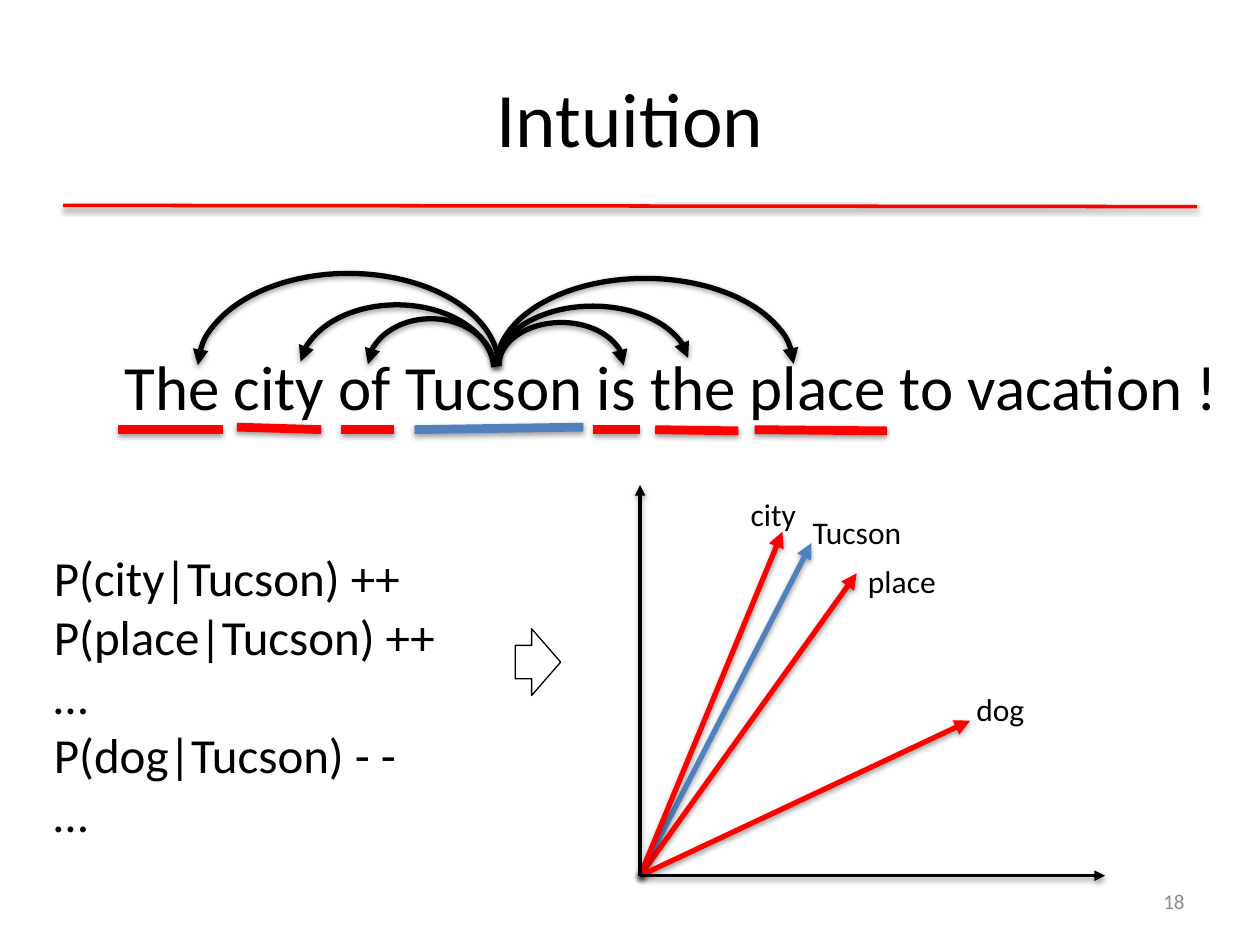
from dataclasses import dataclass

from lxml import etree
from pptx import Presentation, util as u
from pptx.dml.color import RGBColor
from pptx.enum import shapes, text
from pptx.oxml.ns import qn

COLUMNS, ROWS = 10, 7.5
CELL = u.Inches(1)
FONT = "Calibri"
BLACK, WHITE, RED, BLUE, GREY = "000000", "FFFFFF", "FF0000", "4F81BD", "8C8C8C"
ORIGIN = (5.08, 6.95)
UNDERLINE_ROW = 3.41


@dataclass
class Underline:
    start: float
    end: float
    rise: float = 0
    color: str = RED


@dataclass
class ContextArc:
    """An arc from the centre word; angles are in degrees."""
    left: float
    top: float
    width: float
    height: float
    start: float
    end: float
    mirrored: bool = False


@dataclass
class WordVector:
    word: str
    tip: tuple[float, float]
    label: tuple[float, float, float]
    color: str = RED


UNDERLINES = [
    Underline(0.94, 1.77), Underline(1.88, 2.55, -0.02), Underline(2.71, 3.13),
    Underline(3.29, 4.63, 0.02, BLUE), Underline(4.71, 5.08),
    Underline(5.2, 5.86, -0.01), Underline(5.99, 7.04, -0.01),
]
ARCS = [
    ContextArc(2.92, 2.53, 1, 0.77, 182.7, 0),
    ContextArc(1.57, 2.17, 2.39, 1.5, 181.03, 359.38),
    ContextArc(2.38, 2.42, 1.54, 1.04, 185.2, 357.35),
    ContextArc(3.96, 2.56, 0.99, 0.68, 179.76, 0, True),
    ContextArc(3.94, 2.43, 1.53, 0.96, 185.2, 357.35, True),
    ContextArc(3.94, 2.21, 2.36, 1.4, 181.03, 359.38, True),
]
VECTORS = [
    WordVector("Tucson", (6.44, 4.31), (6.35, 4.02, 0.91), BLUE),
    WordVector("place", (6.8, 4.55), (6.79, 4.41, 0.75)),
    WordVector("city", (6.21, 4.22), (5.86, 3.88, 0.56)),
    WordVector("dog", (7.7, 5.72), (7.65, 5.43, 0.59)),
]
PROBABILITIES = ["P(city|Tucson) ++", "P(place|Tucson) ++", "…",
                 "P(dog|Tucson) - -", "…"]


def grid(*cells: float) -> list[int]:
    return [round(cell * CELL) for cell in cells]


def rgb(color: str) -> RGBColor:
    return RGBColor.from_string(color)


def style_line(shape, color: str, width: float, arrow_end: str = "") -> None:
    shape.line.color.rgb = rgb(color)
    shape.line.width = u.Pt(width)
    if arrow_end:
        line = shape.line._get_or_add_ln()
        etree.SubElement(line, qn(f"a:{arrow_end}"), type="triangle")


def add_shadow(shape) -> None:
    effects = etree.SubElement(shape._element.spPr, qn("a:effectLst"))
    shadow = etree.SubElement(effects, qn("a:outerShdw"), blurRad="40000",
                              dist="20000", dir="5400000", rotWithShape="0")
    color = etree.SubElement(shadow, qn("a:srgbClr"), val=BLACK)
    etree.SubElement(color, qn("a:alpha"), val="38000")


def add_line(slide, start, end, color: str, width: float, arrow_end: str = ""):
    line = slide.shapes.add_connector(
        shapes.MSO_CONNECTOR.STRAIGHT, *grid(*start, *end))
    style_line(line, color, width, arrow_end)
    add_shadow(line)
    return line


def write(shape, lines: list[str], *, size: float, color: str = BLACK,
          align=text.PP_ALIGN.LEFT, anchor=text.MSO_ANCHOR.TOP,
          wrap: bool = True, space_before: float = 0) -> None:
    frame = shape.text_frame
    frame.word_wrap = wrap
    frame.vertical_anchor = anchor
    frame.text = "\n".join(lines)
    for paragraph in frame.paragraphs:
        paragraph.alignment = align
        paragraph.space_before = u.Pt(space_before)
        font = paragraph.runs[0].font
        font.name, font.size = FONT, u.Pt(size)
        font.color.rgb = rgb(color)


def add_text(slide, box, lines: list[str], **style) -> None:
    write(slide.shapes.add_textbox(*grid(*box)), lines, **style)


def add_title(slide) -> None:
    title = slide.shapes.title
    title.left, title.top, title.width, title.height = grid(0.5, 0.3, 9, 1.25)
    write(title, ["Intuition"], size=44, align=text.PP_ALIGN.CENTER,
          anchor=text.MSO_ANCHOR.MIDDLE)


def add_arc(slide, arc: ContextArc) -> None:
    shape = slide.shapes.add_shape(
        shapes.MSO_SHAPE.ARC, *grid(arc.left, arc.top, arc.width, arc.height))
    # Angles are stored in 1/60000 degree, adjustments in 1/100000.
    for index, angle in enumerate((arc.start, arc.end)):
        shape.adjustments[index] = angle * 0.6
    if arc.mirrored:
        shape._element.spPr.xfrm.set("flipH", "1")
    shape.fill.background()
    style_line(shape, BLACK, 3, "headEnd")
    add_shadow(shape)


def add_sentence(slide) -> None:
    add_text(slide, (0.89, 2.71, 9, 0.79),
             ["The city of Tucson is the place to vacation !"],
             size=36, space_before=7.2)
    for mark in UNDERLINES:
        add_line(slide, (mark.start, UNDERLINE_ROW + min(mark.rise, 0) * (mark.end < 3)),
                 (mark.end, UNDERLINE_ROW - mark.rise * (mark.end > 3)),
                 mark.color, 5)
    for arc in ARCS:
        add_arc(slide, arc)


def add_implication_arrow(slide) -> None:
    arrow = slide.shapes.add_shape(
        shapes.MSO_SHAPE.RIGHT_ARROW, *grid(4.09, 4.99, 0.36, 0.53))
    arrow.adjustments[1] = 0.64
    arrow.shadow.inherit = False
    arrow.fill.solid()
    arrow.fill.fore_color.rgb = rgb(WHITE)
    style_line(arrow, BLACK, 0.75)


def add_vector_plot(slide) -> None:
    for vector in VECTORS:
        add_line(slide, ORIGIN, vector.tip, vector.color, 3, "tailEnd")
    for vector in VECTORS:
        add_text(slide, (*vector.label, 0.4), [vector.word], size=18, wrap=False)
    for axis_tip in ((ORIGIN[0], 3.85), (8.77, ORIGIN[1])):
        add_line(slide, ORIGIN, axis_tip, BLACK, 2, "tailEnd")


def main() -> None:
    presentation = Presentation()
    presentation.slide_width, presentation.slide_height = grid(COLUMNS, ROWS)
    slide = presentation.slides.add_slide(presentation.slide_layouts[5])
    add_title(slide)
    add_line(slide, (0.5, 1.63), (9.5, 1.64), RED, 2)
    add_sentence(slide)
    add_text(slide, (0.33, 4.3, 3.62, 2.93), PROBABILITIES, size=28)
    add_implication_arrow(slide)
    add_vector_plot(slide)
    add_text(slide, (7.17, 6.95, 2.33, 0.4), ["18"], size=12, color=GREY,
             align=text.PP_ALIGN.RIGHT, anchor=text.MSO_ANCHOR.MIDDLE)
    presentation.save("out.pptx")


if __name__ == "__main__":
    main()
